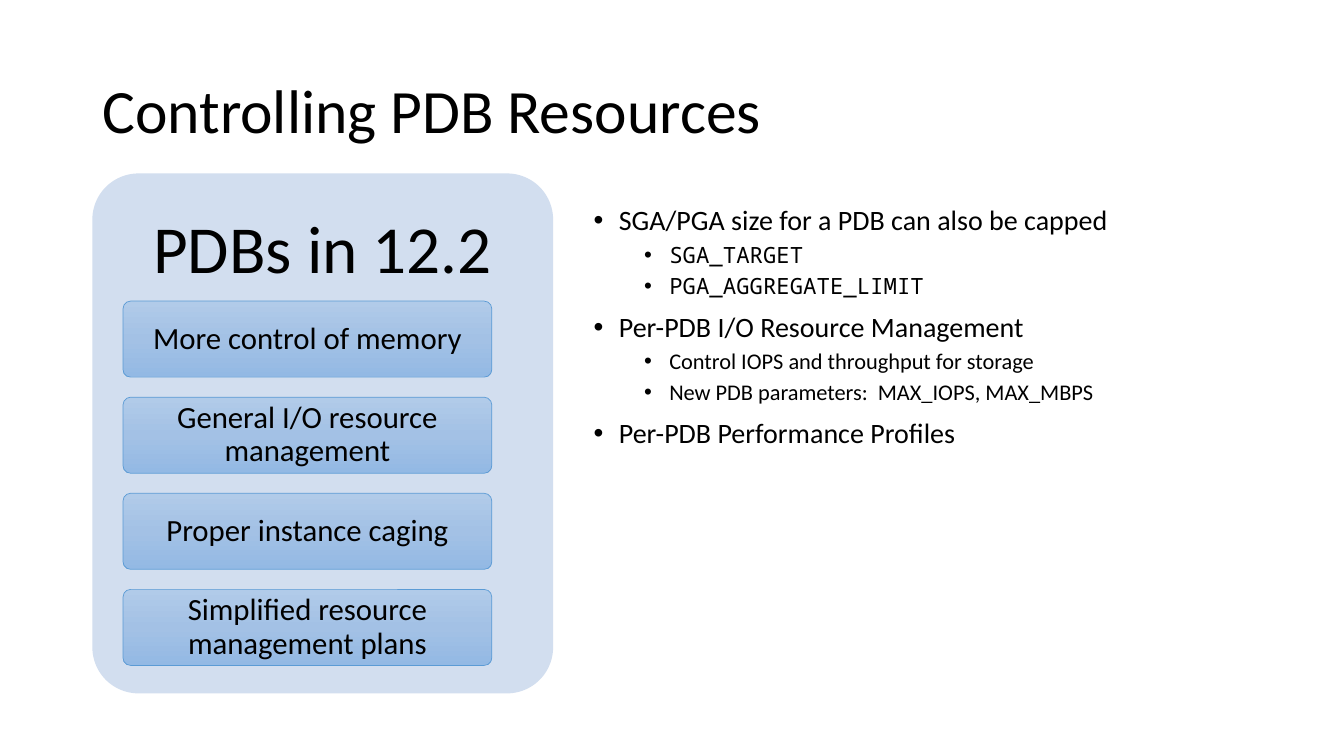
"""Build a slide on controlling PDB resources."""
import copy
import dataclasses
import typing

import pptx
import pptx.dml.color
import pptx.enum.shapes
import pptx.enum.text
import pptx.oxml.ns
import pptx.shapes.autoshape
import pptx.slide
import pptx.text.text
import pptx.util

COLS, ROWS = 160, 90
WIDE, HIGH = pptx.util.Inches(13.333), pptx.util.Inches(7.5)


@dataclasses.dataclass(frozen=True)
class Theme:
    ink: str = "000000"
    panel: str = "D2DEEF"
    fade: tuple[str, ...] = ("B1CBE9", "A3C1E5", "93B9E4")
    edge: str = "5B9BD5"
    font: str = "Calibri"
    mono: str = "Noto Sans Mono"
    title: int = 44
    head: int = 48
    label: int = 22
    levels: tuple[int, ...] = (20, 16)


@dataclasses.dataclass(frozen=True)
class Box:
    col: float
    row: float
    cols: float
    rows: float

    def place(self) -> tuple[int, int, int, int]:
        x, y = WIDE / COLS, HIGH / ROWS
        return (round(self.col * x), round(self.row * y),
                round(self.cols * x), round(self.rows * y))


@dataclasses.dataclass(frozen=True)
class Point:
    words: str
    level: int = 0
    mono: bool = False


THEME = Theme()
TITLE = Box(11, 4.8, 138, 17.4)
BODY = Box(69.5, 24, 79.4, 57.1)
PANEL = Box(11, 20.65, 54.85, 61.9)
HEAD = Box(11, 20.65, 54.85, 18.6)
FIRST = Box(14.65, 35.85, 43.9, 9.05)
PITCH = 11.44
LABELS = (
    "More control of memory",
    "General I/O resource management",
    "Proper instance caging",
    "Simplified resource management plans",
)
POINTS = (
    Point("SGA/PGA size for a PDB can also be capped"),
    Point("SGA_TARGET", 1, True),
    Point("PGA_AGGREGATE_LIMIT", 1, True),
    Point("Per-PDB I/O Resource Management"),
    Point("Control IOPS and throughput for storage", 1),
    Point("New PDB parameters:  MAX_IOPS, MAX_MBPS", 1),
    Point("Per-PDB Performance Profiles"),
)


def apply(thing: typing.Any, form: dict[str, typing.Any]) -> None:
    for name, value in form.items():
        setattr(thing, name, value)


def tint(code: str) -> pptx.dml.color.RGBColor:
    return pptx.dml.color.RGBColor.from_string(code)


def write(para: pptx.text.text._Paragraph, words: str, size: int,
          font: str = THEME.font, **form: typing.Any) -> None:
    apply(para, {"line_spacing": 0.9, **form})
    run = para.add_run()
    run.text = words
    apply(run.font, {"size": pptx.util.Pt(size), "name": font})
    run.font.color.rgb = tint(THEME.ink)


def frame(text: pptx.text.text.TextFrame, side: float, top: float,
          middle: bool = True) -> pptx.text.text.TextFrame:
    anchor = pptx.enum.text.MSO_ANCHOR
    across, down = pptx.util.Inches(side), pptx.util.Inches(top)
    apply(text, {
        "word_wrap": True,
        "vertical_anchor": anchor.MIDDLE if middle else anchor.TOP,
        "margin_left": across, "margin_right": across,
        "margin_top": down, "margin_bottom": down,
    })
    return text


def block(slide: pptx.slide.Slide, box: Box) -> pptx.shapes.autoshape.Shape:
    kind = pptx.enum.shapes.MSO_SHAPE.ROUNDED_RECTANGLE
    shape = slide.shapes.add_shape(kind, *box.place())
    shape.adjustments[0] = 0.1
    shape.shadow.inherit = False
    return shape


def shade(shape: pptx.shapes.autoshape.Shape) -> None:
    shape.fill.gradient()
    shape.fill.gradient_angle = 270
    start = shape._element.spPr.xpath(".//a:gs")[0]
    half = copy.deepcopy(start)
    half.set("pos", "50000")
    start.addnext(half)
    for stop, code in zip(shape.fill.gradient_stops, THEME.fade):
        stop.color.rgb = tint(code)


def button(slide: pptx.slide.Slide, box: Box, words: str) -> None:
    shape = block(slide, box)
    shade(shape)
    shape.line.color.rgb = tint(THEME.edge)
    shape.line.width = pptx.util.Pt(0.5)
    text = frame(shape.text_frame, 0.06, 0.05)
    write(text.paragraphs[0], words, THEME.label,
          alignment=pptx.enum.text.PP_ALIGN.CENTER)


def bullet(para: pptx.text.text._Paragraph, point: Point) -> None:
    write(para, point.words, THEME.levels[point.level],
          THEME.mono if point.mono else THEME.font,
          level=point.level, space_before=pptx.util.Pt(10 - 5 * point.level))
    props = para._p.get_or_add_pPr()
    props.set("marL", str(pptx.util.Inches(0.25 + 0.5 * point.level)))
    props.set("indent", str(-pptx.util.Inches(0.25)))
    for tag, key, value in (("a:buFont", "typeface", "Arial"),
                            ("a:buChar", "char", "•")):
        node = props.makeelement(pptx.oxml.ns.qn(tag), {key: value})
        props.append(node)


def main() -> None:
    deck = pptx.Presentation()
    apply(deck, {"slide_width": WIDE, "slide_height": HIGH})
    slide = deck.slides.add_slide(deck.slide_layouts[6])

    title = slide.shapes.add_textbox(*TITLE.place())
    write(frame(title.text_frame, 0.1, 0.05).paragraphs[0],
          "Controlling PDB Resources", THEME.title)

    body = slide.shapes.add_textbox(*BODY.place())
    text = frame(body.text_frame, 0.1, 0.05, middle=False)
    for index, point in enumerate(POINTS):
        bullet(text.add_paragraph() if index else text.paragraphs[0], point)

    panel = block(slide, PANEL)
    panel.fill.solid()
    panel.fill.fore_color.rgb = tint(THEME.panel)
    panel.line.fill.background()

    head = slide.shapes.add_textbox(*HEAD.place())
    write(frame(head.text_frame, 0.27, 0.27).paragraphs[0],
          "PDBs in 12.2", THEME.head,
          alignment=pptx.enum.text.PP_ALIGN.CENTER)

    for index, words in enumerate(LABELS):
        box = dataclasses.replace(FIRST, row=FIRST.row + index * PITCH)
        button(slide, box, words)

    deck.save("out.pptx")


if __name__ == "__main__":
    main()
